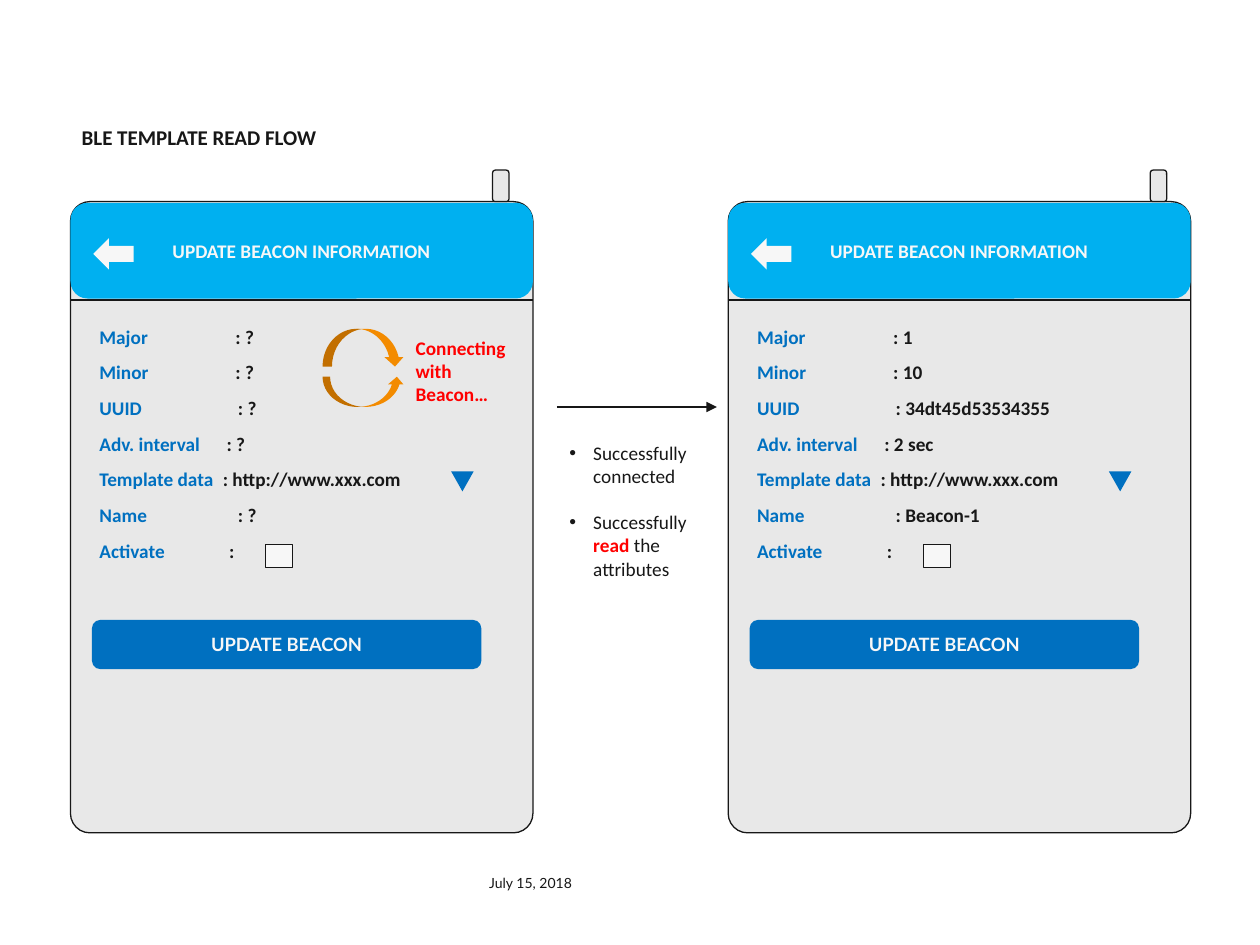
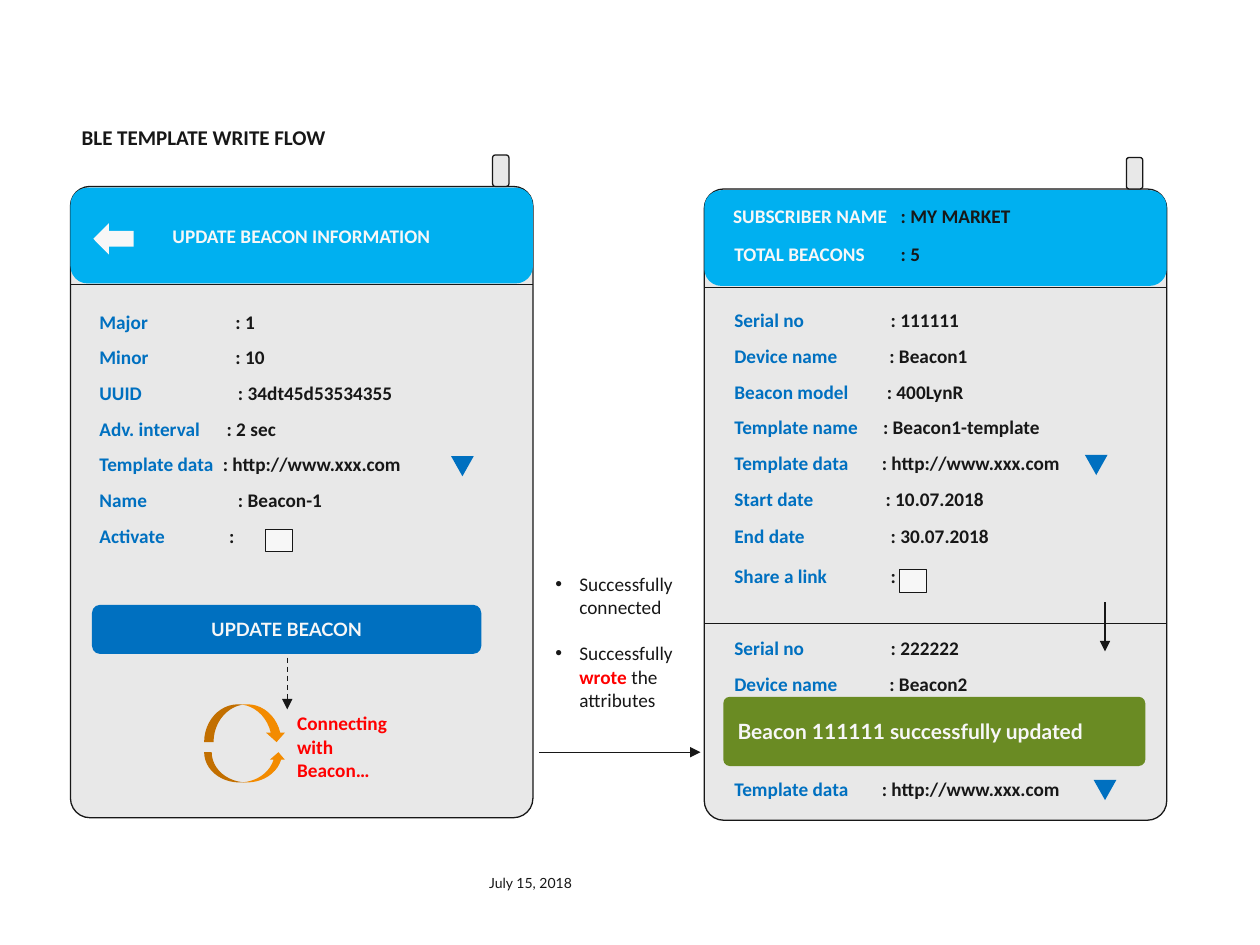
from lxml import etree
from pptx import Presentation
from pptx import util as u
from pptx.dml.color import RGBColor
from pptx.enum import dml, shapes, text
from pptx.oxml.ns import qn

INK, PAPER, BODY = "171717", "F7F7F7", "E8E8E8"
BLUE, SKY, ORANGE, GREEN, RED = "0070C0", "00B0F0", "F38B00", "6A8B23", "FF0000"
PHONE_W, PHONE_H, ROW_STEP = 3.67, 5.01, 0.283
SHAPE, ALIGN, ANCHOR = shapes.MSO_SHAPE, text.PP_ALIGN, text.MSO_ANCHOR
BEACON_TABS = [1.08, 1.08, 1.10, 1.01, 0.98, 1.10, 1.03]
BEACON_LABELS = ["Major", "Minor", "UUID", "Adv. interval", "Template data", "Name", "Activate"]
URL = "http://www.xxx.com"
UNKNOWN = ["?", "?", "?", "?", URL, "?", ""]
KNOWN = ["1", "10", "34dt45d53534355", "2 sec", URL, "Beacon-1", ""]


def color(value):
    return RGBColor.from_string(value)


def style(r, size, fill, bold=True, font="Calibri"):
    r.font.size = u.Pt(size)
    r.font.name = font
    r.font.bold = bold
    r.font.color.rgb = color(fill)


def shape(s, kind, x, y, w, h, fill, line=None, adj=None):
    sp = s.shapes.add_shape(kind, *map(u.Inches, (x, y, w, h)))
    sp.shadow.inherit = False
    sp.fill.solid()
    sp.fill.fore_color.rgb = color(fill)
    if line:
        sp.line.color.rgb = color(INK)
        sp.line.width = u.Pt(line)
    else:
        sp.line.fill.background()
    if adj:
        sp.adjustments[0] = adj
    return sp


def line(s, x1, y1, x2, y2, arrow=False, dashed=False):
    c = s.shapes.add_connector(shapes.MSO_CONNECTOR.STRAIGHT, *map(u.Inches, (x1, y1, x2, y2)))
    c.line.color.rgb = color(INK)
    c.line.width = u.Pt(0.75)
    if dashed:
        c.line.dash_style = dml.MSO_LINE.DASH
    if arrow:
        etree.SubElement(c.line._get_or_add_ln(), qn("a:tailEnd"), type="triangle")
    etree.SubElement(c._element.spPr, qn("a:effectLst"))


def textbox(s, x, y, w, h, words="", size=11, fill=INK, bold=True, font="Calibri"):
    tf = s.shapes.add_textbox(*map(u.Inches, (x, y, w, h))).text_frame
    tf.word_wrap = True
    tf.text = words
    for r in tf.paragraphs[0].runs:
        style(r, size, fill, bold, font)
    return tf


def field(s, x, y, label, value, tab, fill=BLUE):
    p = textbox(s, x, y, 3.18, 0.29, label, fill=fill).paragraphs[0]
    r = p.add_run()
    r.text = f"\t: {value}".rstrip(" ")
    style(r, 11, INK)
    tabs = etree.SubElement(p._p.get_or_add_pPr(), qn("a:tabLst"))
    etree.SubElement(tabs, qn("a:tab"), pos=str(u.Inches(tab)), algn="l")


def fields(s, x, y, rows):
    for i, row in enumerate(rows):
        field(s, x, y + i * ROW_STEP, *row)


def phone(s, x, y):
    shape(s, SHAPE.ROUNDED_RECTANGLE, x, y, PHONE_W, PHONE_H, BODY, 0.75, 0.042)
    shape(s, SHAPE.ROUNDED_RECTANGLE, x + 3.35, y - 0.25, 0.13, 0.25, BODY, 0.75)
    line(s, x, y + 0.78, x + PHONE_W, y + 0.78)
    shape(s, SHAPE.ROUNDED_RECTANGLE, x, y + 0.01, PHONE_W, 0.76, SKY, adj=0.179)


def checkbox(s, x, y):
    shape(s, SHAPE.RECTANGLE, x, y, 0.21, 0.18, PAPER, 0.5)


def dropdown(s, x, y):
    shape(s, SHAPE.ISOSCELES_TRIANGLE, x, y, 0.18, 0.16, BLUE).rotation = 180


def button(s, x, y, w, h, words, fill, size, align, adj=None):
    tf = shape(s, SHAPE.ROUNDED_RECTANGLE, x, y, w, h, fill, adj=adj).text_frame
    tf.text = words
    tf.vertical_anchor = ANCHOR.MIDDLE
    p = tf.paragraphs[0]
    p.alignment = align
    style(p.runs[0], size, PAPER, font="Lato")


def beacon_phone(s, x, y, values):
    phone(s, x, y)
    textbox(s, x + 0.71, y + 0.25, 2.49, 0.29, "UPDATE BEACON INFORMATION", fill=PAPER)
    shape(s, SHAPE.LEFT_ARROW, x + 0.18, y + 0.29, 0.32, 0.25, PAPER)
    fields(s, x + 0.13, y + 0.93, zip(BEACON_LABELS, values, BEACON_TABS))
    checkbox(s, x + 1.55, y + 2.72)
    dropdown(s, x + 3.02, y + 2.14)
    button(s, x + 0.17, y + 3.32, 3.09, 0.39, "UPDATE BEACON", BLUE, 10.5, ALIGN.CENTER)


def subscriber_phone(s, x, y):
    phone(s, x, y)
    left = x + 0.14
    field(s, left - 0.01, y + 0.07, "SUBSCRIBER NAME", "MY MARKET", 1.33, PAPER)
    field(s, left, y + 0.37, "TOTAL BEACONS", "5", 1.32, PAPER)
    fields(s, left, y + 0.9, [
        ("Serial no", "111111", 1.24),
        ("Device name", "Beacon1", 1.23),
        ("Beacon model", "400LynR", 1.21),
        ("Template name", "Beacon1-template", 1.18),
        ("Template data", URL, 1.17),
        ("Start date", "10.07.2018", 1.2),
    ])
    field(s, left, y + 2.61, "End date", "30.07.2018", 1.24)
    field(s, left, y + 2.93, "Share a link", "", 1.24)
    checkbox(s, x + 1.55, y + 3.02)
    dropdown(s, x + 3.02, y + 2.11)
    line(s, x, y + 3.45, x + PHONE_W, y + 3.45)
    fields(s, left, y + 3.5, [("Serial no", "222222", 1.24), ("Device name", "Beacon2", 1.23)])
    field(s, left, y + 4.62, "Template data", URL, 1.17)
    dropdown(s, x + 3.09, y + 4.69)
    line(s, x + 3.18, y + 3.28, x + 3.18, y + 3.67, arrow=True)
    button(s, x + 0.15, y + 4.03, 3.35, 0.55, "Beacon 111111 successfully updated",
           GREEN, 12, ALIGN.LEFT, 0.096)


def spinner(s, x, y):
    shape(s, SHAPE.CURVED_DOWN_ARROW, x, y, 0.65, 0.3, ORANGE)
    shape(s, SHAPE.CURVED_UP_ARROW, x, y + 0.38, 0.65, 0.24, ORANGE)
    textbox(s, x + 0.64, y + 0.01, 0.98, 0.66, "Connecting with Beacon…", fill=RED)


def outcome(s, x, y, verb):
    tf = textbox(s, x, y, 1.27, 1.21, "Successfully connected", bold=False)
    p = tf.add_paragraph()
    p.space_before = u.Pt(13.4)
    for words, fill, bold in (("Successfully ", INK, False), (verb, RED, True),
                              (" the attributes", INK, False)):
        r = p.add_run()
        r.text = words
        style(r, 11, fill, bold)
    for p in tf.paragraphs:
        pPr = p._p.get_or_add_pPr()
        pPr.set("marL", str(u.Inches(0.19)))
        pPr.set("indent", str(u.Inches(-0.19)))
        etree.SubElement(pPr, qn("a:buFont"), typeface="Arial")
        etree.SubElement(pPr, qn("a:buChar"), char="•")


def flow_slide(prs, title):
    s = prs.slides.add_slide(prs.slide_layouts[6])
    tf = textbox(s, 0.55, 0.96, 3, 0.28, title, 12)
    tf.vertical_anchor = ANCHOR.BOTTOM
    tf.paragraphs[0].line_spacing = 0.9
    tf = textbox(s, 3.24, 6.9, 1.4, 0.17, "July 15, 2018", 8, bold=False, font="Lato")
    tf.vertical_anchor = ANCHOR.BOTTOM
    tf.margin_top = tf.margin_bottom = 0
    tf.paragraphs[0].alignment = ALIGN.RIGHT
    return s


def read_flow(prs):
    s = flow_slide(prs, "BLE TEMPLATE READ FLOW")
    beacon_phone(s, 0.56, 1.6, UNKNOWN)
    spinner(s, 2.56, 2.61)
    beacon_phone(s, 5.78, 1.6, KNOWN)
    line(s, 4.42, 3.23, 5.69, 3.23, arrow=True)
    outcome(s, 4.42, 3.45, "read")


def write_flow(prs):
    s = flow_slide(prs, "BLE TEMPLATE WRITE FLOW")
    beacon_phone(s, 0.56, 1.48, KNOWN)
    line(s, 2.28, 5.22, 2.28, 5.63, arrow=True, dashed=True)
    spinner(s, 1.62, 5.59)
    line(s, 4.28, 5.97, 5.56, 5.97, arrow=True)
    outcome(s, 4.31, 4.49, "wrote")
    subscriber_phone(s, 5.59, 1.5)


def main():
    prs = Presentation()
    prs.slide_width, prs.slide_height = u.Inches(10), u.Inches(7.5)
    read_flow(prs)
    write_flow(prs)
    prs.save("out.pptx")


main()
